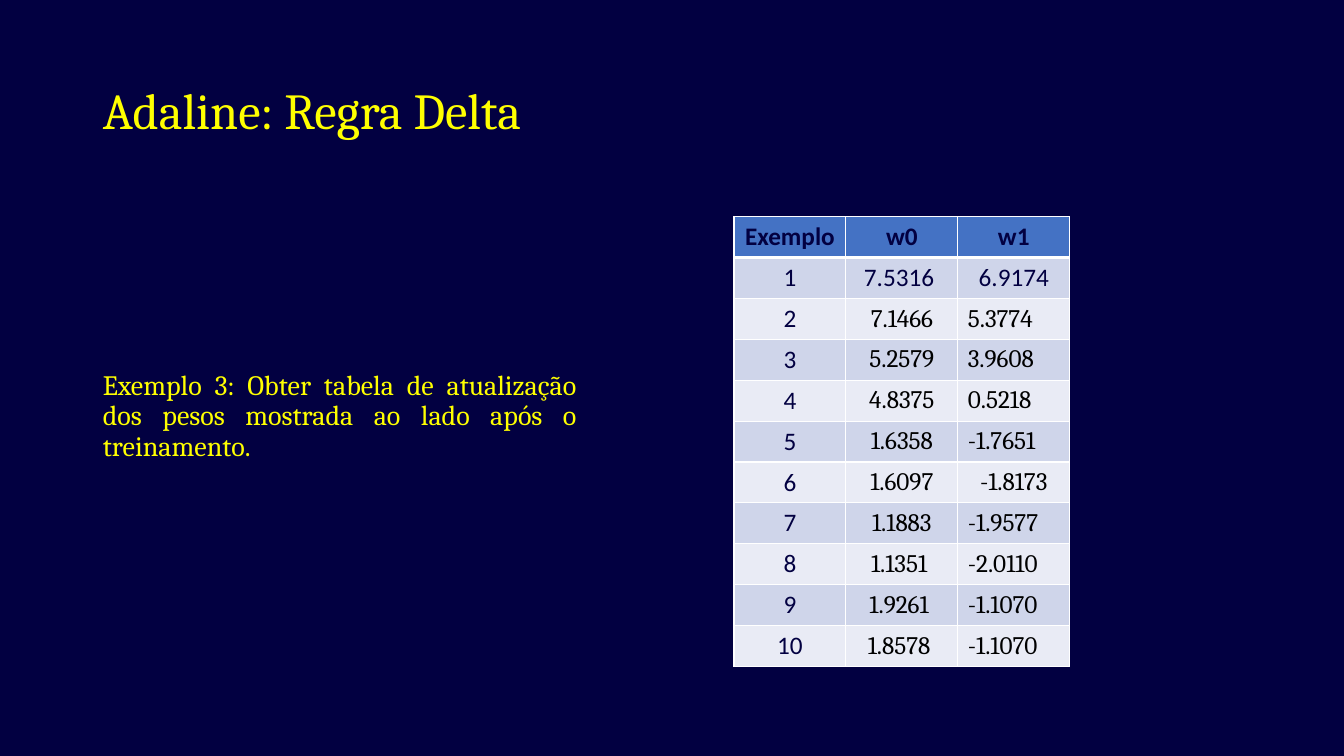
from lxml.etree import SubElement
from pptx import Presentation
from pptx.dml.color import RGBColor
from pptx.enum.text import MSO_ANCHOR as Anchor, MSO_AUTO_SIZE as AutoSize, PP_ALIGN as Align
from pptx.oxml import parse_xml
from pptx.oxml.ns import nsdecls, qn
from pptx.util import Inches, Pt

COLORS = {"navy": "020041", "yellow": "FFFF00", "header": "4472C4", "odd": "CFD5EA",
          "even": "E9EBF5", "white": "FFFFFF", "black": "000000"}
HEADINGS = ["Exemplo", "w0", "w1"]
WEIGHTS = [
    ("7.5316 ", "6.9174"), ("7.1466", "5.3774"), ("5.2579", "3.9608"),
    (" 4.8375 ", "0.5218"), ("1.6358", "-1.7651"), ("1.6097", "-1.8173"),
    ("1.1883", "-1.9577"), ("1.1351 ", "-2.0110"), ("1.9261 ", "-1.1070"),
    ("1.8578 ", "-1.1070"),
]
CENTERED_W1_ROWS = {1, 6}


def rgb(name):
    return RGBColor.from_string(COLORS[name])


def write(frame, text, font="Cambria", size=18, color="yellow", bold=False,
          align=Align.LEFT, line_spacing=1.0, space_before=0):
    para = frame.paragraphs[0]
    para.alignment = align
    para.line_spacing = line_spacing
    para.space_before = Pt(space_before)
    span = para.add_run()
    span.text = text
    span.font.name = font
    span.font.size = Pt(size)
    span.font.bold = bold
    span.font.color.rgb = rgb(color)
    return para


def add_borders(cell, widths):
    """Draw white cell borders; widths maps L, R, T and B to points."""
    properties = cell._tc.get_or_add_tcPr()
    for position, (side, width) in enumerate(widths.items()):
        properties.insert(position, parse_xml(
            f'<a:ln{side} {nsdecls("a")} w="{Pt(width)}"><a:solidFill>'
            f'<a:srgbClr val="{COLORS["white"]}"/></a:solidFill></a:ln{side}>'))


class SlideBuilder:
    def __init__(self, deck):
        self.slide = deck.slides.add_slide(deck.slide_layouts[1])
        background = self.slide.background.fill
        background.solid()
        background.fore_color.rgb = rgb("navy")

    def place(self, box, left, top, width, height):
        box.left, box.top = Inches(left), Inches(top)
        box.width, box.height = Inches(width), Inches(height)
        frame = box.text_frame
        frame.word_wrap = True
        frame.auto_size = AutoSize.NONE
        frame.vertical_anchor = Anchor.MIDDLE
        return frame

    def title(self, text):
        frame = self.place(self.slide.shapes.title, 0.92, 0.4, 11.5, 1.45)
        write(frame, text, size=36, line_spacing=0.9)

    def body(self, text):
        box = self.slide.placeholders[1]
        frame = self.place(box, 0.92, 2, 4.9, 4.76)
        frame.margin_bottom = Inches(0.54)
        box.fill.solid()
        box.fill.fore_color.rgb = rgb("navy")
        para = write(frame, text, size=20, align=Align.JUSTIFY,
                     line_spacing=0.9, space_before=10)
        properties = para._p.get_or_add_pPr()
        properties.set("marL", "0")
        properties.set("indent", "0")
        SubElement(properties, qn("a:buNone"))

    def weight_table(self):
        rows = [HEADINGS] + [(str(number), *pair) for number, pair in enumerate(WEIGHTS, 1)]
        table = self.slide.shapes.add_table(
            len(rows), len(HEADINGS), Inches(7.28), Inches(2.15),
            Inches(3.33), Inches(4.46)).table
        for row, values in enumerate(rows):
            for column, text in enumerate(values):
                self.weight_cell(table.cell(row, column), row, column, text)

    def weight_cell(self, cell, row, column, text):
        fill = "header" if row == 0 else "odd" if row % 2 else "even"
        cell.fill.solid()
        cell.fill.fore_color.rgb = rgb(fill)
        cell.vertical_anchor = Anchor.MIDDLE
        computed = row > 1 and column > 0
        justified = column == 2 and row > 0 and row not in CENTERED_W1_ROWS
        write(cell.text_frame, text, font="Cambria" if computed else "Calibri",
              color="black" if computed else "navy", bold=row == 0,
              align=Align.JUSTIFY if justified else Align.CENTER)
        add_borders(cell, {"L": 1, "R": 1, "T": 3 if row == 1 else 1,
                           "B": 3 if row == 0 else 1})


def main():
    deck = Presentation()
    deck.slide_width, deck.slide_height = Inches(13.33), Inches(7.5)
    builder = SlideBuilder(deck)
    builder.title("Adaline: Regra Delta")
    builder.body("Exemplo 3: Obter tabela de atualização dos pesos "
                 "mostrada ao lado após o treinamento.")
    builder.weight_table()
    deck.save("out.pptx")


if __name__ == "__main__":
    main()
